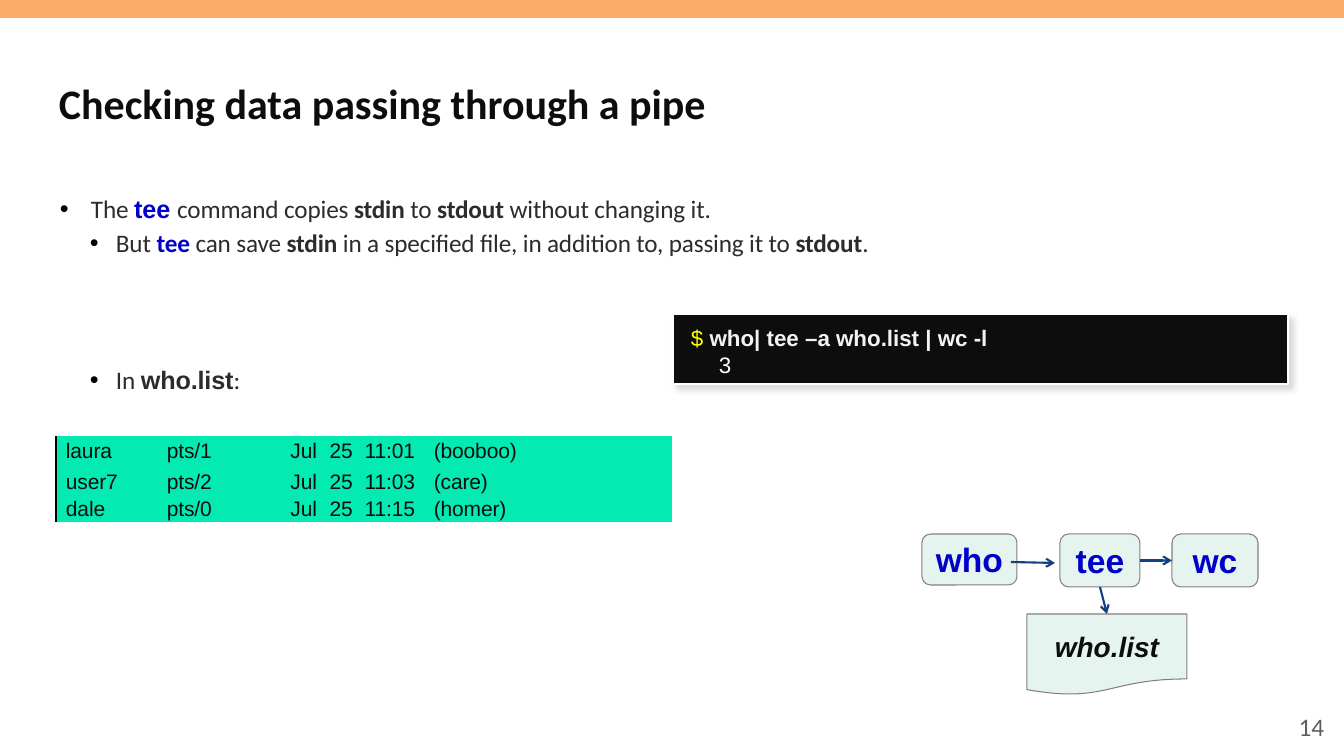
from dataclasses import dataclass

import lxml.etree
import pptx
import pptx.dml.color
import pptx.enum.shapes
import pptx.enum.text
import pptx.oxml
import pptx.oxml.ns
import pptx.util

EMU_PER_PX = 914400 / 100.8
ALIGN = pptx.enum.text.PP_ALIGN
ANCHOR = pptx.enum.text.MSO_ANCHOR
SHAPE = pptx.enum.shapes.MSO_SHAPE
NS = 'xmlns:a="http://schemas.openxmlformats.org/drawingml/2006/main"'
INK, BODY, BLUE, MINT = "0D0D0D", "2D2C2C", "0000C7", "E6F4EF"


@dataclass
class Run:
    text: str
    size: float = 18
    color: str = BODY
    bold: bool = False
    font: str = "Calibri"
    italic: bool = False
    spacing: int = 0  # hundredths of a point


@dataclass
class Bullet:
    margin: int
    hang: int
    before: float
    runs: list[Run]


@dataclass
class Node:
    kind: int
    box: tuple[int, int, int, int]
    label: Run


def px(n: float) -> pptx.util.Emu:
    return pptx.util.Emu(round(n * EMU_PER_PX))


def rgb(value: str) -> pptx.dml.color.RGBColor:
    return pptx.dml.color.RGBColor.from_string(value)


def add_xml(parent, xml: str) -> None:
    parent.append(pptx.oxml.parse_xml(xml))


def write(p, runs: list[Run], align=ALIGN.LEFT, margin: int = 0, hang: int = 0) -> None:
    p.alignment = align
    pPr = p._p.get_or_add_pPr()
    pPr.set("marL", str(px(margin)))
    pPr.set("indent", str(-px(hang)))
    for run in runs:
        r = p.add_run()
        r.text = run.text
        r.font.name = run.font
        r.font.size = pptx.util.Pt(run.size)
        r.font.bold = run.bold
        r.font.italic = run.italic
        r.font.color.rgb = rgb(run.color)
        if run.spacing:
            r._r.get_or_add_rPr().set("spc", str(run.spacing))


def add_box(slide, box: tuple[int, int, int, int], anchor=ANCHOR.TOP):
    tf = slide.shapes.add_textbox(*map(px, box)).text_frame
    tf.word_wrap = True
    tf.vertical_anchor = anchor
    return tf


def add_filled(slide, kind: int, box: tuple[int, int, int, int], fill: str,
               line: str = "", width: float = 0.75):
    sp = slide.shapes.add_shape(kind, *map(px, box))
    sp.shadow.inherit = False
    sp.fill.solid()
    sp.fill.fore_color.rgb = rgb(fill)
    if line:
        sp.line.color.rgb = rgb(line)
        sp.line.width = pptx.util.Pt(width)
    else:
        sp.line.fill.background()
    return sp


def add_node(slide, node: Node):
    sp = add_filled(slide, node.kind, node.box, MINT, "808080")
    tf = sp.text_frame
    tf.word_wrap = False
    tf.vertical_anchor = ANCHOR.MIDDLE
    write(tf.paragraphs[0], [node.label], ALIGN.CENTER)
    return sp


def add_arrow(slide, x1: int, y1: int, x2: int, y2: int):
    line = slide.shapes.add_connector(
        pptx.enum.shapes.MSO_CONNECTOR.STRAIGHT, *map(px, (x1, y1, x2, y2)))
    line.line.color.rgb = rgb("134183")
    line.line.width = pptx.util.Pt(1.5)
    add_xml(line.line._get_or_add_ln(), f'<a:tailEnd {NS} type="arrow"/>')
    add_xml(line._element.spPr, f"<a:effectLst {NS}/>")
    return line


def add_bullets(slide, bullets: list[Bullet]) -> None:
    tf = add_box(slide, (49, 192, 1246, 480))
    for i, bullet in enumerate(bullets):
        p = tf.paragraphs[0] if i == 0 else tf.add_paragraph()
        pPr = p._p.get_or_add_pPr()
        add_xml(pPr, f'<a:buClr {NS}><a:srgbClr val="000000"/></a:buClr>')
        add_xml(pPr, f'<a:buFont {NS} typeface="Arial"/>')
        add_xml(pPr, f'<a:buChar {NS} char="•"/>')
        p.line_spacing = 0.9
        p.space_before = pptx.util.Pt(bullet.before)
        write(p, bullet.runs, margin=bullet.margin, hang=bullet.hang)


def add_terminal(slide) -> None:
    sp = add_filled(slide, SHAPE.RECTANGLE, (673, 314, 615, 70), INK, "FFFFFF", 1)
    effects = sp._element.spPr.find(pptx.oxml.ns.qn("a:effectLst"))
    add_xml(effects, f'<a:outerShdw {NS} blurRad="50800" dist="50800" dir="2700000" '
                     'algn="tl" rotWithShape="0"><a:srgbClr val="DADADA"/></a:outerShdw>')
    tf = sp.text_frame
    tf.word_wrap = True
    tf.vertical_anchor = ANCHOR.TOP
    tf.margin_top, tf.margin_bottom = px(10), px(6)
    write(tf.paragraphs[0], [Run("$ ", 16, "FFFF00", font="Arial"),
                             Run("who| tee –a who.list | wc -l", 16, "F2F2F2", True, "Arial")],
          margin=8)
    write(tf.add_paragraph(), [Run("3", 16, "FFFFFF", font="Arial")], margin=36)


def add_logins(slide, rows: list[tuple[str, ...]]) -> None:
    columns = [(89, ALIGN.LEFT, 10), (104, ALIGN.LEFT, 22), (68, ALIGN.RIGHT, 0),
               (36, ALIGN.RIGHT, 0), (74, ALIGN.CENTER, 0), (245, ALIGN.LEFT, 7)]
    heights = [31, 24, 28]
    frame = slide.shapes.add_table(len(rows), len(columns), *map(px, (56, 436, 616, sum(heights))))
    table = frame.table
    table.first_row = table.horz_banding = False
    style = table._tbl.tblPr.find(pptx.oxml.ns.qn("a:tableStyleId"))
    style.text = "{2D5ABB26-0587-4C30-8999-92F81FD0307C}"  # no style, no grid
    for c, (width, _, _) in enumerate(columns):
        table.columns[c].width = px(width)
    for i, values in enumerate(rows):
        table.rows[i].height = px(heights[i])
        for c, (_, align, margin) in enumerate(columns):
            cell = table.cell(i, c)
            cell.margin_left = cell.margin_right = cell.margin_bottom = 0
            cell.margin_top = px(0 if i else 4)
            if c == 0:
                add_xml(cell._tc.get_or_add_tcPr(),
                        f'<a:lnL {NS} w="12700"><a:solidFill><a:srgbClr val="000000"/>'
                        '</a:solidFill></a:lnL>')
            cell.fill.solid()
            cell.fill.fore_color.rgb = rgb("03EAB3")
            p = cell.text_frame.paragraphs[0]
            if i:
                p.line_spacing = pptx.util.Pt(19.2)
            write(p, [Run(values[c], 15, INK, font="Arial", spacing=-10)], align, margin)


def add_pipeline(slide) -> None:
    boxes = {"who": (922, 534, 95, 51), "tee": (1060, 534, 80, 53), "wc": (1172, 534, 86, 53)}
    nodes = {name: add_node(slide, Node(SHAPE.FLOWCHART_ALTERNATE_PROCESS, box,
                                        Run(name, 24, "0000C8", True, "Arial")))
             for name, box in boxes.items()}
    listing = add_node(slide, Node(SHAPE.FLOWCHART_DOCUMENT, (1027, 614, 160, 81),
                                   Run("who.list", 20, INK, True, "Arial", True)))
    add_arrow(slide, 1011, 562, 1055, 563)
    to_wc = add_arrow(slide, 1140, 560, 1172, 560)
    to_wc.begin_connect(nodes["tee"], 3)
    to_wc.end_connect(nodes["wc"], 1)
    to_list = add_arrow(slide, 1100, 587, 1107, 614)
    to_list.begin_connect(nodes["tee"], 2)
    to_list.end_connect(listing, 0)


def body(text: str, bold: bool = False, color: str = BODY, font: str = "Calibri") -> Run:
    return Run(text, 18, color, bold, font, spacing=-10)


def main() -> None:
    prs = pptx.Presentation()
    prs.slide_width, prs.slide_height = px(1344), px(756)
    slide = prs.slides.add_slide(prs.slide_layouts[6])

    # Top band, title and page number
    add_filled(slide, SHAPE.RECTANGLE, (0, 0, 1344, 18), "FCAC69")
    tf = add_box(slide, (49, 55, 1246, 95), ANCHOR.MIDDLE)
    write(tf.paragraphs[0], [Run("Checking data passing through a pipe", 30, INK, True)])
    tf = add_box(slide, (1032, 706, 302, 40), ANCHOR.MIDDLE)
    write(tf.paragraphs[0], [Run("14", 18, "5F5F5F")], ALIGN.RIGHT)

    # Explanation; the last bullet stands level with the terminal
    add_bullets(slide, [
        Bullet(32, 31, 0, [
            body("The "), body("tee ", True, BLUE, "Arial"), body("command copies "),
            body("stdin ", True), body("to "), body("stdout ", True),
            body("without changing it.")]),
        Bullet(57, 26, 4.9, [
            body("But "), body("tee ", True, BLUE), body("can save "), body("stdin ", True),
            body("in a specified file, in addition to, passing it to "),
            body("stdout", True), body(".")]),
        Bullet(57, 26, 78, [body("In "), body("who.list", True, font="Arial"), body(":")]),
    ])

    # Command, saved output and pipeline
    add_terminal(slide)
    add_logins(slide, [("laura", "pts/1", "Jul", "25", "11:01", "(booboo)"),
                       ("user7", "pts/2", "Jul", "25", "11:03", "(care)"),
                       ("dale", "pts/0", "Jul", "25", "11:15", "(homer)")])
    add_pipeline(slide)
    prs.save("out.pptx")


if __name__ == "__main__":
    main()
